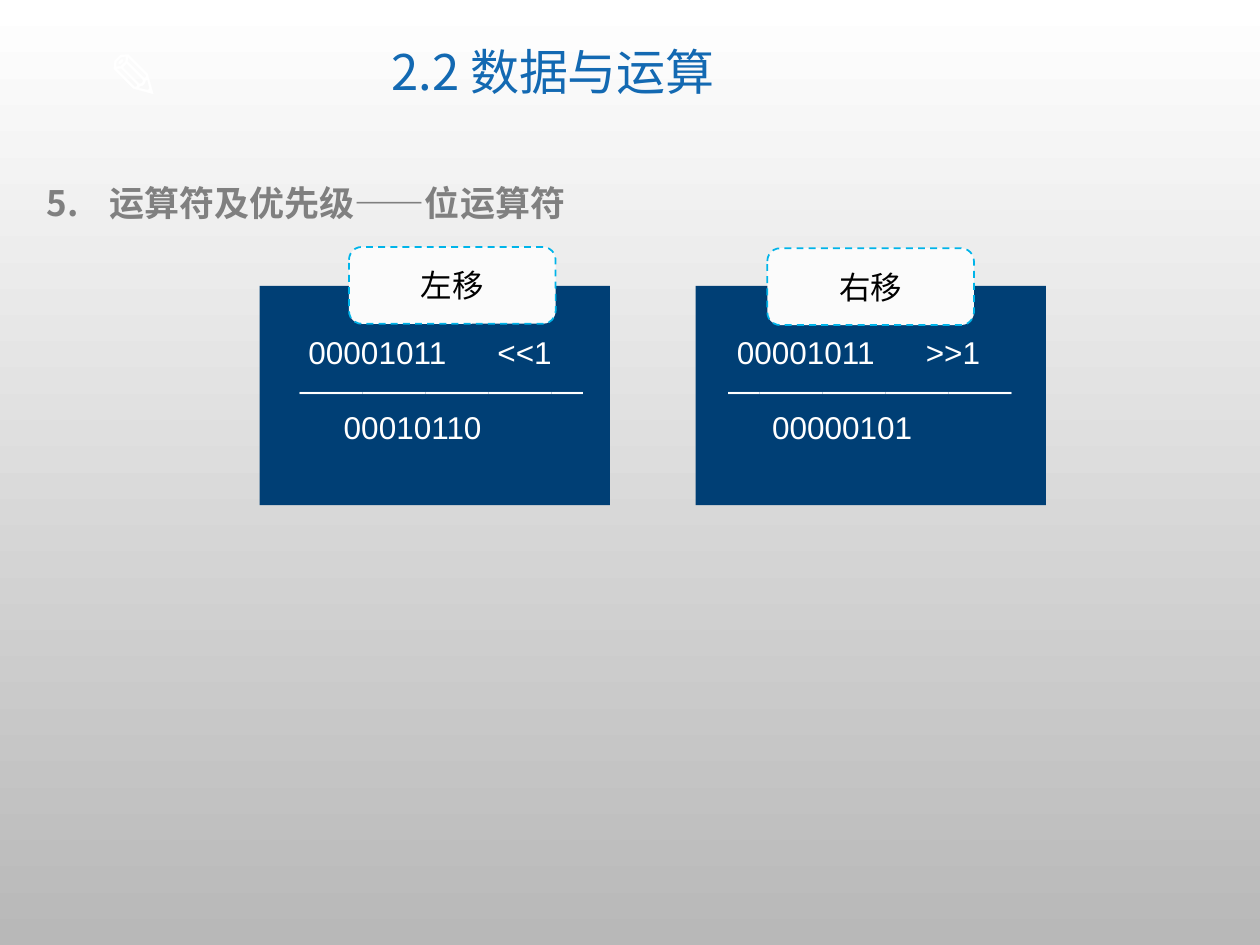
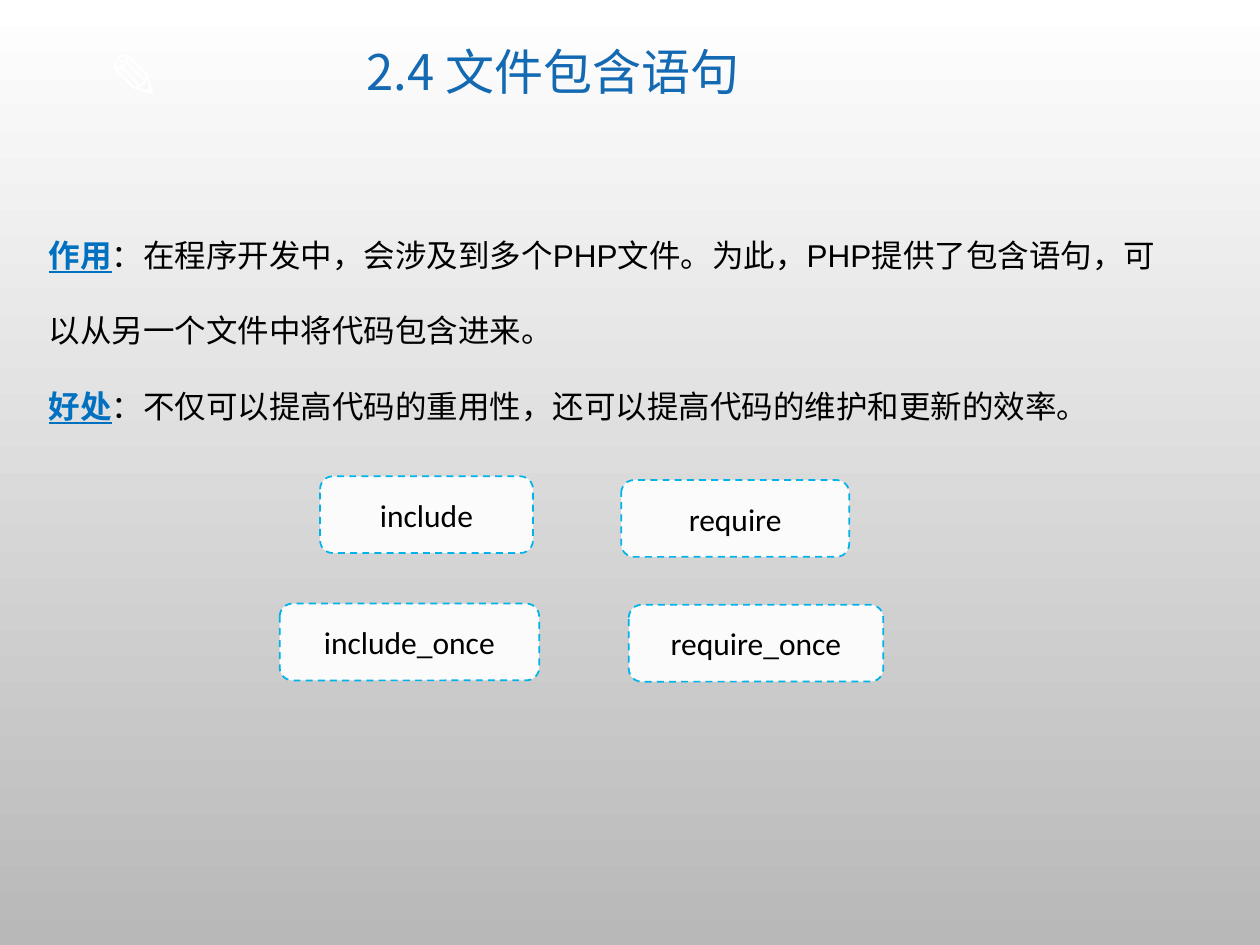
from lxml import etree
from pptx import Presentation
from pptx.dml.color import RGBColor
from pptx.enum.dml import MSO_LINE
from pptx.enum.shapes import MSO_SHAPE
from pptx.enum.text import MSO_ANCHOR, PP_ALIGN
from pptx.oxml.ns import qn
from pptx.util import Inches, Pt

RECTANGLE = MSO_SHAPE.RECTANGLE
ROUNDED = MSO_SHAPE.ROUNDED_RECTANGLE
DASH = MSO_LINE.DASH
MIDDLE, TOP = MSO_ANCHOR.MIDDLE, MSO_ANCHOR.TOP
CENTER, LEFT = PP_ALIGN.CENTER, PP_ALIGN.LEFT

WHITE = RGBColor(0xFF, 0xFF, 0xFF)
BLACK = RGBColor(0x00, 0x00, 0x00)
SILVER = RGBColor(0xB8, 0xB8, 0xB8)
GRAY = RGBColor(0x80, 0x80, 0x80)
TITLE_BLUE = RGBColor(0x13, 0x69, 0xB2)
TERM_BLUE = RGBColor(0x00, 0x70, 0xC0)
NAVY = RGBColor(0x00, 0x3F, 0x75)
CYAN = RGBColor(0x00, 0xB4, 0xE9)
LABEL_FILL = RGBColor(0xFB, 0xFB, 0xFB)
CJK_FONT = "Noto Sans CJK SC"


def write_text(shape, paragraphs, size=18, font="Arial", color=BLACK, bold=False,
               align=LEFT, anchor=TOP, wrap=True, line_spacing=None,
               indents=(), tab=None, number=None):
    """Fill a shape; a paragraph is a string or a list of (text, is_term) runs."""
    frame = shape.text_frame
    frame.word_wrap = wrap
    frame.vertical_anchor = anchor
    for index, content in enumerate(paragraphs):
        paragraph = frame.paragraphs[0] if index == 0 else frame.add_paragraph()
        paragraph.alignment = align
        if line_spacing:
            paragraph.line_spacing = line_spacing
        properties = paragraph._p.get_or_add_pPr()
        if indents:
            properties.set("marL", str(Inches(indents[index])))
            properties.set("indent", "0")
        if number:
            properties.set("marL", str(Inches(0.5)))
            properties.set("indent", str(-Inches(0.5)))
            etree.SubElement(properties, qn("a:buAutoNum"),
                             type="arabicPeriod", startAt=str(number))
        if tab:
            tabs = etree.SubElement(properties, qn("a:tabLst"))
            etree.SubElement(tabs, qn("a:tab"), pos=str(Inches(tab)), algn="l")
        runs = [(content, False)] if isinstance(content, str) else content
        for text, is_term in runs:
            run = paragraph.add_run()
            run.text = text
            run.font.size = Pt(size)
            run.font.name = font
            run.font.bold = bold or is_term
            run.font.underline = is_term
            run.font.color.rgb = TERM_BLUE if is_term else color
            etree.SubElement(run._r.get_or_add_rPr(), qn("a:ea"), typeface=CJK_FONT)


def add_box(slide, preset, left, top, width, height, fill, label=None):
    """Add a plain box, or a dashed one with a centred label."""
    shape = slide.shapes.add_shape(preset, Inches(left), Inches(top),
                                   Inches(width), Inches(height))
    shape.shadow.inherit = False
    shape.fill.solid()
    shape.fill.fore_color.rgb = fill
    if label is None:
        shape.line.fill.background()
        return
    shape.line.color.rgb = CYAN
    shape.line.width = Pt(1)
    shape.line.dash_style = DASH
    write_text(shape, [label], font="Calibri", align=CENTER, anchor=MIDDLE)


presentation = Presentation()
presentation.slide_width = Inches(10)
presentation.slide_height = Inches(7.5)

background = presentation.slide_master.background.fill
background.gradient()
background.gradient_angle = 270
for stop, position, color in zip(background.gradient_stops, (0, 1), (WHITE, SILVER)):
    stop.position = position
    stop.color.rgb = color

# Shared pencil mark and title
slides = []
for title in ("2.2 数据与运算", "2.4 文件包含语句"):
    slide = presentation.slides.add_slide(presentation.slide_layouts[6])
    pencil = slide.shapes.add_textbox(Inches(0.76), Inches(0.24), Inches(0.86), Inches(0.71))
    write_text(pencil, ["✎"], size=36, font=CJK_FONT, color=WHITE, bold=True, wrap=False)
    title_box = slide.shapes.add_textbox(Inches(1.81), Inches(0.17), Inches(5.16), Inches(0.85))
    write_text(title_box, [title], size=28, font=CJK_FONT, color=TITLE_BLUE,
               align=CENTER, anchor=MIDDLE, line_spacing=0.9)
    slides.append(slide)
shift_slide, include_slide = slides

# Bit shift operators
heading = shift_slide.shapes.add_textbox(Inches(0.27), Inches(1.39), Inches(9.22), Inches(0.44))
write_text(heading, ["运算符及优先级——位运算符"], size=20, font=CJK_FONT, color=GRAY,
           bold=True, number=5)

shift_cards = [
    (5.52, 5.68, 6.09, 1.97, "右移", ">>1", "00000101"),
    (2.06, 2.28, 2.77, 1.96, "左移", "<<1", "00010110"),
]
for card_left, text_left, label_left, label_top, label, operator, result in shift_cards:
    add_box(shift_slide, RECTANGLE, card_left, 2.27, 2.78, 1.74, NAVY)
    calculation = shift_slide.shapes.add_textbox(Inches(text_left), Inches(2.59),
                                                 Inches(2.5), Inches(1.26))
    write_text(calculation, [f"00001011\t{operator}", "—" * 9, result], color=WHITE,
               indents=(0.07, 0, 0.35), tab=1.79)
    add_box(shift_slide, ROUNDED, label_left, label_top, 1.64, 0.61, LABEL_FILL, label)

# File inclusion statements
explanation = include_slide.shapes.add_textbox(Inches(0.29), Inches(1.52),
                                               Inches(9.19), Inches(1.92))
write_text(explanation, [
    [("作用", True),
     ("：在程序开发中，会涉及到多个PHP文件。为此，PHP提供了包含语句，"
      "可以从另一个文件中将代码包含进来。", False)],
    [("好处", True),
     ("：不仅可以提高代码的重用性，还可以提高代码的维护和更新的效率。", False)],
], line_spacing=2.0)

statements = [
    ("include", 2.54, 3.78, 1.69),
    ("require", 4.93, 3.81, 1.81),
    ("include_once", 2.22, 4.79, 2.06),
    ("require_once", 4.99, 4.8, 2.02),
]
for statement, left, top, width in statements:
    add_box(include_slide, ROUNDED, left, top, width, 0.61, LABEL_FILL, statement)

presentation.save("out.pptx")
